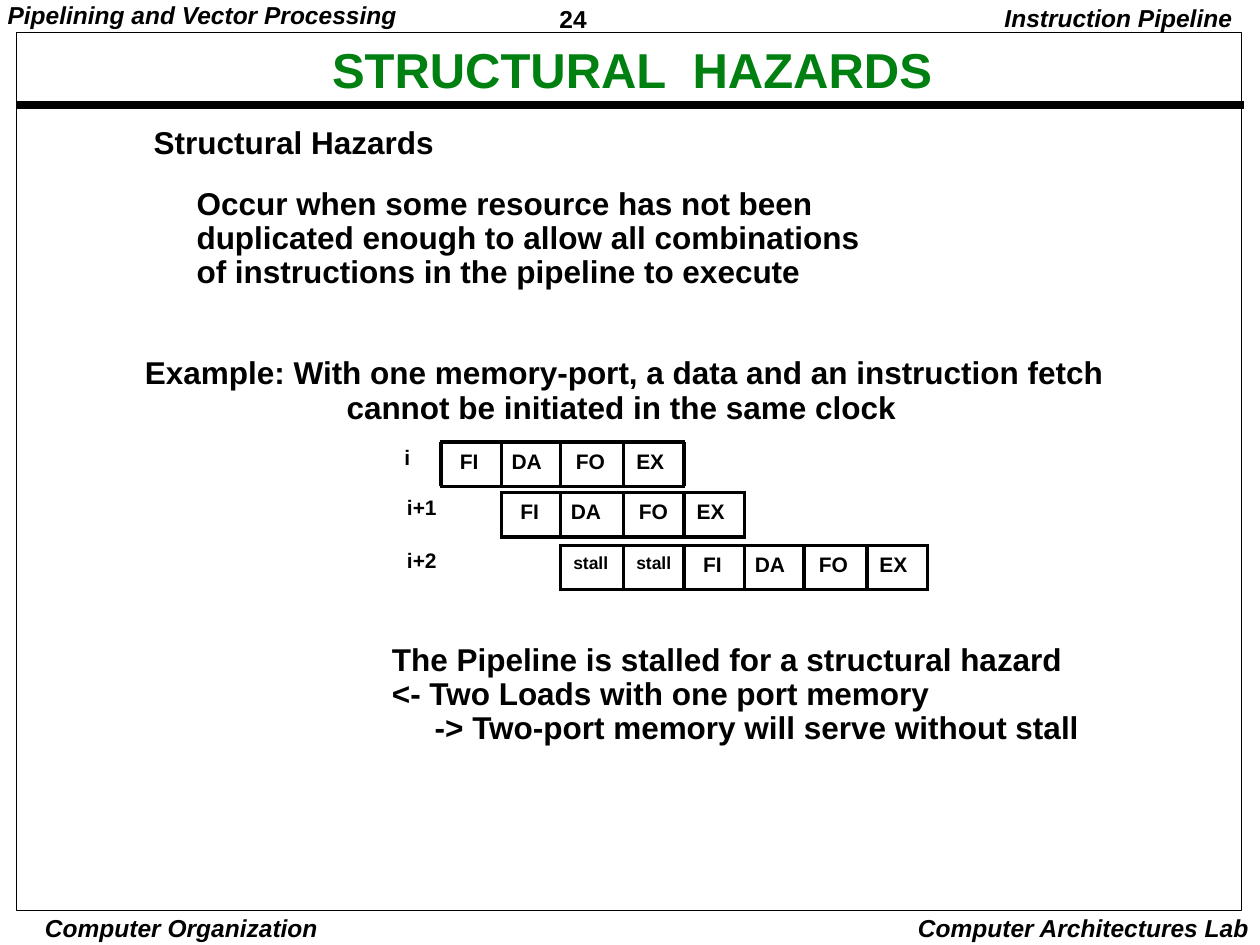
from dataclasses import dataclass

import pptx
import pptx.dml.color
import pptx.enum.shapes
import pptx.enum.text
import pptx.oxml.ns
import pptx.util
from lxml import etree
from pptx.util import Inches

ALIGN = pptx.enum.text.PP_ALIGN
BLACK = "000000"
GREEN = "008011"


@dataclass
class Line:
    """One paragraph: its wording, left indent (inches) and space before (points)."""
    words: str
    indent: float = 0
    before: float = 0


@dataclass
class Block:
    """A text box; insets are left/right and top/bottom in inches."""
    box: tuple[float, float, float, float]
    lines: list[Line]
    size: float = 18
    color: str = BLACK
    italic: bool = False
    align: ALIGN = ALIGN.LEFT
    insets: tuple[float, float] = (0.07, 0.03)
    spacing: float = 0.9
    middle: bool = False
    top_gap: float = 0


@dataclass
class Instruction:
    """A row of the timing diagram, starting at a given clock edge."""
    name: str
    name_left: float
    top: float
    first_clock: int
    stages: list[str]


@dataclass
class Stage:
    """Where a stage label sits in its cell, and its size."""
    left: float
    width: float
    size: int = 12


def rgb(hex_color: str) -> pptx.dml.color.RGBColor:
    return pptx.dml.color.RGBColor.from_string(hex_color)


def draw_block(slide, block: Block) -> None:
    frame = slide.shapes.add_textbox(*map(Inches, block.box)).text_frame
    frame.word_wrap = False
    frame.auto_size = pptx.enum.text.MSO_AUTO_SIZE.SHAPE_TO_FIT_TEXT
    side, edge = block.insets
    frame.margin_left = frame.margin_right = Inches(side)
    frame.margin_top = Inches(edge + block.top_gap)
    frame.margin_bottom = Inches(edge)
    if block.middle:
        frame.vertical_anchor = pptx.enum.text.MSO_ANCHOR.MIDDLE
    frame.text = "\n".join(line.words for line in block.lines)
    for paragraph, line in zip(frame.paragraphs, block.lines):
        paragraph.alignment = block.align
        paragraph.line_spacing = block.spacing
        paragraph.space_before = pptx.util.Pt(line.before)
        if line.indent:
            properties = paragraph._p.get_or_add_pPr()
            properties.set("marL", str(Inches(line.indent)))
            properties.set("indent", "0")
        font = paragraph.runs[0].font
        font.name = "Arial"
        font.size = pptx.util.Pt(block.size)
        font.bold = True
        font.italic = block.italic
        font.color.rgb = rgb(block.color)


def draw_rule(slide, x1: float, y1: float, x2: float, y2: float, weight: float = 2) -> None:
    rule = slide.shapes.add_connector(
        pptx.enum.shapes.MSO_CONNECTOR.STRAIGHT, *map(Inches, (x1, y1, x2, y2)))
    rule.line.color.rgb = rgb(BLACK)
    rule.line.width = pptx.util.Pt(weight)
    etree.SubElement(rule._element.spPr, pptx.oxml.ns.qn("a:effectLst"))


def draw_label(slide, words: str, left: float, top: float, width: float, size: int = 12) -> None:
    height = 0.18 if size == 12 else 0.15
    draw_block(slide, Block((left, top, width, height), [Line(words)], size, insets=(0, 0)))


# Header and footer texts
RUNNING_TEXTS = [
    Block((4.37, 0, 1.08, 0.29), [Line("24")], 14, spacing=1.01),
    Block((-0.01, 0, 3.24, 0.27), [Line("Pipelining and Vector Processing")], 14, italic=True),
    Block((7.87, 0, 2.01, 0.31), [Line("Instruction Pipeline")], 14, italic=True,
          align=ALIGN.RIGHT, insets=(0.1, 0.05)),
    Block((0.29, 7.24, 2.3, 0.26), [Line("Computer Organization")], 14, italic=True,
          align=ALIGN.CENTER, insets=(0.03, 0.01), spacing=1.0),
    Block((7.18, 7.2, 2.83, 0.33), [Line("Computer Architectures Lab")], 14, italic=True,
          align=ALIGN.RIGHT, insets=(0.1, 0.05), spacing=1.0),
]

# Title and explanations
BODY_TEXTS = [
    Block((0.72, 0.27, 8.59, 0.61), [Line("STRUCTURAL  HAZARDS")], 28, GREEN,
          align=ALIGN.CENTER, middle=True),
    Block((1.15, 0.98, 5.82, 1.35), [
        Line("Structural Hazards"),
        Line("Occur when some resource has not been", 0.34, 15.5),
        Line("duplicated enough to allow all combinations", 0.34),
        Line("of instructions in the pipeline to execute", 0.34),
    ]),
    Block((0.18, 2.51, 8.72, 0.9), [
        Line("Example: With one memory-port, a data and an instruction fetch", 0.9),
        Line("cannot be initiated in the same clock", 2.5),
    ], top_gap=0.3),
    Block((3.04, 5.08, 5.62, 0.87), [
        Line("The Pipeline is stalled for a structural hazard"),
        Line("<- Two Loads with one port memory"),
        Line("-> Two-port memory will serve without stall", 0.34),
    ]),
]

# Timing diagram
CLOCK_EDGES = [3.5, 3.98, 4.45, 4.95, 5.43, 5.91, 6.38, 6.88, 7.36]
ROW_HEIGHT = 0.35
STAGES = {
    "FI": Stage(0.15, 0.18),
    "DA": Stage(0.08, 0.28),
    "FO": Stage(0.12, 0.27),
    "EX": Stage(0.1, 0.26),
    "stall": Stage(0.1, 0.31, 10),
}
PIPELINE = ["FI", "DA", "FO", "EX"]
INSTRUCTIONS = [
    Instruction("i", 3.21, 3.51, 0, PIPELINE),
    Instruction("i+1", 3.23, 3.91, 1, PIPELINE),
    Instruction("i+2", 3.23, 4.33, 2, ["stall", "stall"] + PIPELINE),
]


def draw_instruction(slide, row: Instruction) -> None:
    last_clock = row.first_clock + len(row.stages)
    edges = CLOCK_EDGES[row.first_clock:last_clock + 1]
    bottom = row.top + ROW_HEIGHT
    for y in (row.top, bottom):
        draw_rule(slide, edges[0] - 0.01, y, edges[-1] + 0.01, y)
    for x in edges:
        draw_rule(slide, x, row.top, x, bottom)
    draw_label(slide, row.name, row.name_left, row.top + 0.04, 0.28 if "+" in row.name else 0.08)
    for x, name in zip(edges, row.stages):
        stage = STAGES[name]
        draw_label(slide, name, x + stage.left, row.top + 0.07, stage.width, stage.size)


def main() -> None:
    deck = pptx.Presentation()
    deck.slide_width, deck.slide_height = Inches(10), Inches(7.5)
    slide = deck.slides.add_slide(deck.slide_layouts[6])

    # Page frame and title rule
    draw_rule(slide, 0.13, 0.83, 9.87, 0.83, 4.5)
    page_frame = slide.shapes.add_shape(
        pptx.enum.shapes.MSO_SHAPE.RECTANGLE, *map(Inches, (0.13, 0.26, 9.72, 6.97)))
    page_frame.shadow.inherit = False
    page_frame.fill.background()
    page_frame.line.color.rgb = rgb(BLACK)
    page_frame.line.width = pptx.util.Pt(0.5)

    for block in RUNNING_TEXTS + BODY_TEXTS:
        draw_block(slide, block)
    for row in INSTRUCTIONS:
        draw_instruction(slide, row)

    deck.save("out.pptx")


if __name__ == "__main__":
    main()
